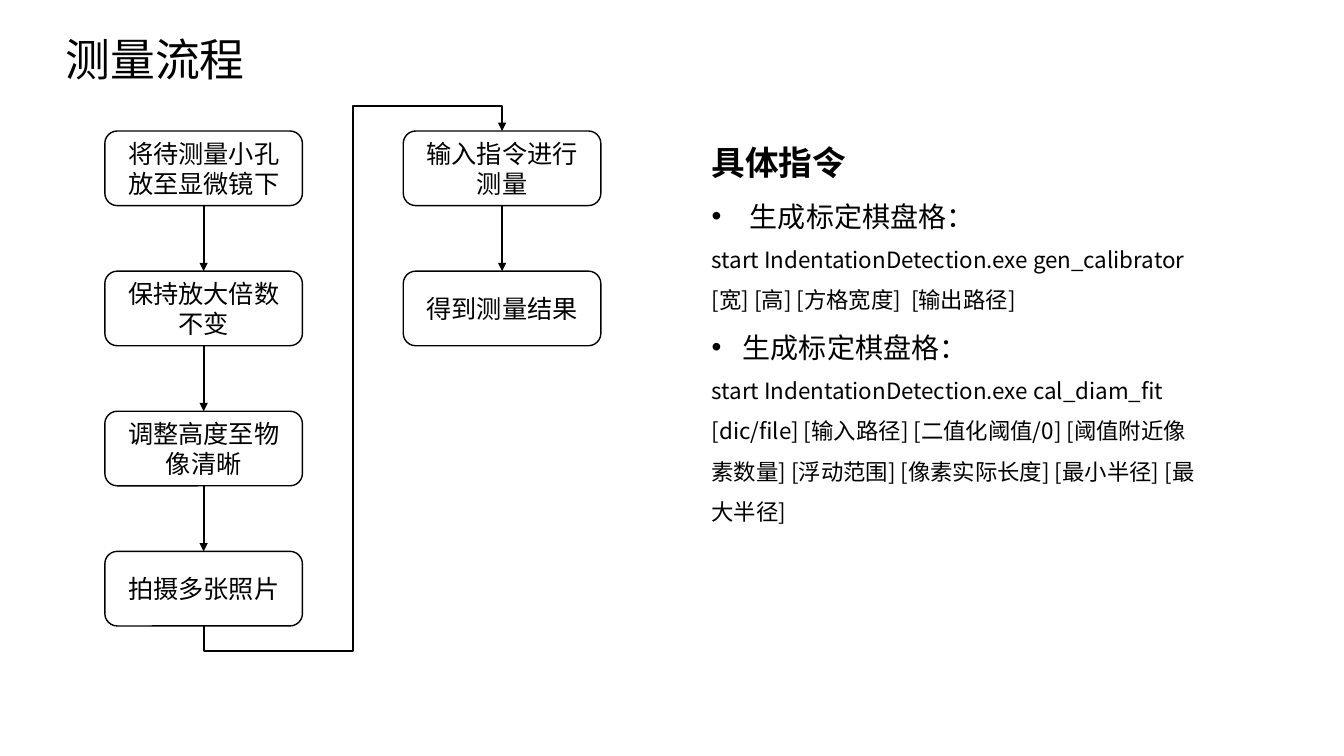
from dataclasses import dataclass

from lxml import etree
from pptx import Presentation
from pptx.dml.color import RGBColor
from pptx.enum.shapes import MSO_CONNECTOR, MSO_SHAPE
from pptx.enum.text import MSO_ANCHOR, MSO_AUTO_SIZE, PP_ALIGN
from pptx.oxml.ns import qn
from pptx.shapes.autoshape import Shape
from pptx.shapes.connector import Connector
from pptx.text.text import TextFrame
from pptx.util import Pt

PX = 9144  # 100 px to the inch
BLACK = RGBColor(0, 0, 0)
WHITE = RGBColor(255, 255, 255)
FONT = "Noto Sans CJK SC"
ROUND = MSO_SHAPE.ROUNDED_RECTANGLE
STRAIGHT, ELBOW = MSO_CONNECTOR.STRAIGHT, MSO_CONNECTOR.ELBOW
CENTER, MIDDLE = PP_ALIGN.CENTER, MSO_ANCHOR.MIDDLE
GROW = MSO_AUTO_SIZE.SHAPE_TO_FIT_TEXT
TOP, BOTTOM = 0, 2

BOX_W, BOX_H = 196, 74
LEFT, FIRST = 104, 130
COL_STEP, ROW_STEP = 296, 139
DETOUR = 25


@dataclass(frozen=True)
class Step:
    text: str
    col: int
    row: int


@dataclass(frozen=True)
class Line:
    text: str
    size: int
    bold: bool = False
    hang: int = 0


STEPS = [
    Step("将待测量小孔放至显微镜下", 0, 0),
    Step("保持放大倍数不变", 0, 1),
    Step("调整高度至物像清晰", 0, 2),
    Step("拍摄多张照片", 0, 3),
    Step("输入指令进行测量", 1, 0),
    Step("得到测量结果", 1, 1),
]

GUIDE = [
    Line("具体指令", 24, bold=True),
    Line("生成标定棋盘格：", 20, hang=38),
    Line("start IndentationDetection.exe gen_calibrator "
         "[宽] [高] [方格宽度]  [输出路径]", 16),
    Line("生成标定棋盘格：", 20, hang=31),
    Line("start IndentationDetection.exe cal_diam_fit [dic/file] [输入路径] "
         "[二值化阈值/0] [阈值附近像素数量] [浮动范围] [像素实际长度] "
         "[最小半径] [最大半径]", 16),
]

prs = Presentation()
prs.slide_width, prs.slide_height = 1333 * PX, 750 * PX
slide = prs.slides.add_slide(prs.slide_layouts[6])
shapes = slide.shapes


def write(frame: TextFrame, text: str, *, size: int, bold: bool = False,
          align: PP_ALIGN | None = None, spacing: float | None = None,
          hang: int = 0) -> None:
    """Add a paragraph, filling the empty first one; hang gives it a bullet."""
    para = frame.paragraphs[0]
    if para.runs:
        para = frame.add_paragraph()
    para.alignment = align
    para.line_spacing = spacing
    if hang:
        props = para._p.get_or_add_pPr()
        props.set("marL", str(hang * PX))
        props.set("indent", str(-hang * PX))
        etree.SubElement(props, qn("a:buFont"), typeface="Arial")
        etree.SubElement(props, qn("a:buChar"), char="•")
    run = para.add_run()
    run.text = text
    run.font.size, run.font.bold = Pt(size), bold
    run.font.color.rgb = BLACK
    run.font.name = FONT
    etree.SubElement(run._r.get_or_add_rPr(), qn("a:ea"), typeface=FONT)


def add_text(x: int, y: int, w: int, h: int) -> TextFrame:
    frame = shapes.add_textbox(x * PX, y * PX, w * PX, h * PX).text_frame
    frame.word_wrap = True
    frame.auto_size = GROW
    return frame


def add_step(step: Step) -> Shape:
    x, y = LEFT + step.col * COL_STEP, FIRST + step.row * ROW_STEP
    box = shapes.add_shape(ROUND, x * PX, y * PX, BOX_W * PX, BOX_H * PX)
    box.shadow.inherit = False
    box.fill.solid()
    box.fill.fore_color.rgb = WHITE
    box.line.color.rgb = BLACK
    box.line.width = Pt(1)
    box.text_frame.word_wrap = True
    box.text_frame.vertical_anchor = MIDDLE
    write(box.text_frame, step.text, size=18, align=CENTER)
    return box


def style(link: Connector) -> None:
    link.line.color.rgb = BLACK
    link.line.width = Pt(1.5)
    etree.SubElement(link.line._get_or_add_ln(), qn("a:tailEnd"), type="triangle")
    etree.SubElement(link._element.spPr, qn("a:effectLst"))


def join(above: Shape, below: Shape) -> None:
    link = shapes.add_connector(STRAIGHT, 0, 0, 0, 0)
    link.begin_connect(above, BOTTOM)
    link.end_connect(below, TOP)
    style(link)


def wrap(last: Shape, first: Shape) -> None:
    """Lead from below one column, up between the two, to the top of the next."""
    x1, y1 = last.left + last.width // 2, last.top + last.height
    x2, y2 = first.left + first.width // 2, first.top
    rise, run = y1 - y2, x2 - x1
    mid_x, mid_y = (x1 + x2) // 2, (y1 + y2) // 2
    # A quarter turn swaps the width and height of the frame.
    link = shapes.add_connector(ELBOW, mid_x + rise // 2, mid_y + run // 2,
                                mid_x - rise // 2, mid_y - run // 2)
    props = link._element.spPr
    props.find(qn("a:xfrm")).set("rot", str(90 * 60000))
    shape = props.find(qn("a:prstGeom"))
    shape.set("prst", "bentConnector5")
    guides = shape.find(qn("a:avLst"))
    if guides is None:
        guides = etree.SubElement(shape, qn("a:avLst"))
    out = round(DETOUR * PX / rise * 100000)
    for i, value in enumerate((-out, 50000, 100000 + out), 1):
        etree.SubElement(guides, qn("a:gd"), name=f"adj{i}", fmla=f"val {value}")
    style(link)


write(add_text(55, 27, 305, 64), "测量流程", size=32)

boxes = [add_step(step) for step in STEPS]
for i in range(len(STEPS) - 1):
    same = STEPS[i].col == STEPS[i + 1].col
    (join if same else wrap)(boxes[i], boxes[i + 1])

guide = add_text(696, 116, 508, 409)
for line in GUIDE:
    write(guide, line.text, size=line.size, bold=line.bold,
          spacing=1.5, hang=line.hang)

prs.save("out.pptx")
